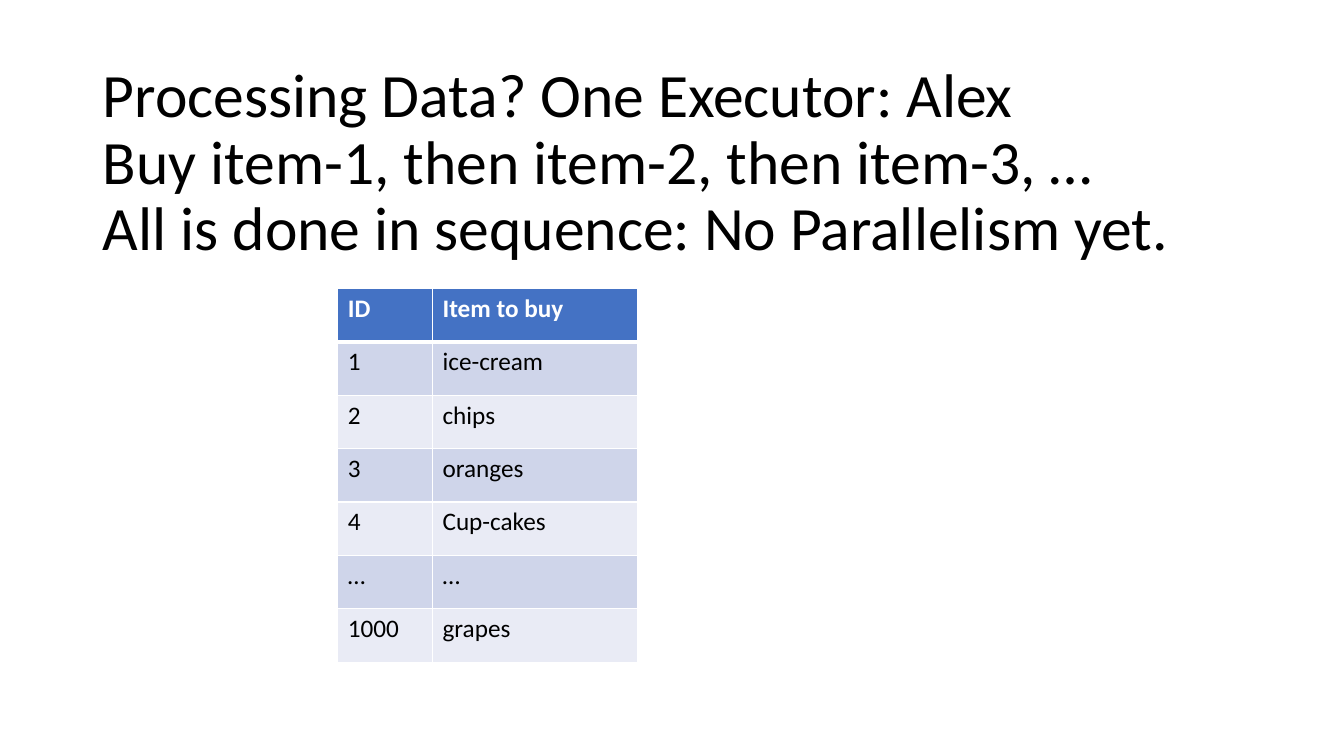
from lxml import etree
from pptx import Presentation
from pptx.dml.color import RGBColor
from pptx.enum.text import MSO_ANCHOR, MSO_AUTO_SIZE, PP_ALIGN
from pptx.oxml.ns import qn
from pptx.util import Inches, Pt

MIDDLE = MSO_ANCHOR.MIDDLE
NO_AUTOFIT = MSO_AUTO_SIZE.NONE
LEFT = PP_ALIGN.LEFT
TITLE_ONLY = 5

COLORS = {
    "text": "000000",
    "header_text": "FFFFFF",
    "header": "4472C4",
    "odd_row": "CFD5EA",
    "even_row": "E9EBF5",
    "border": "FFFFFF",
}

TITLE_LINES = [
    "Processing Data? One Executor: Alex",
    "Buy item-1, then item-2, then item-3, …",
    "All is done in sequence: No Parallelism yet.",
]
SHOPPING_LIST = [
    ("ID", "Item to buy"),
    ("1", "ice-cream"),
    ("2", "chips"),
    ("3", "oranges"),
    ("4", "Cup-cakes"),
    ("…", "…"),
    ("1000", "grapes"),
]


class SlideBuilder:
    """Holds the font, the colours and the slide being filled."""

    def __init__(self, slide, font, colors):
        self.slide = slide
        self.font = font
        self.colors = colors

    def add_run(self, paragraph, text, size, color, bold=False):
        run = paragraph.add_run()
        run.text = text
        run.font.name = self.font
        run.font.size = Pt(size)
        run.font.bold = bold
        run.font.color.rgb = RGBColor.from_string(self.colors[color])

    def add_title(self, lines, left, top, width, height):
        title = self.slide.shapes.title
        title.left, title.top = Inches(left), Inches(top)
        title.width, title.height = Inches(width), Inches(height)
        frame = title.text_frame
        frame.word_wrap = True
        frame.auto_size = NO_AUTOFIT
        frame.vertical_anchor = MIDDLE
        paragraph = frame.paragraphs[0]
        paragraph.alignment = LEFT
        paragraph.line_spacing = 0.9
        for index, line in enumerate(lines):
            if index:
                paragraph.add_line_break()
            self.add_run(paragraph, line, 44, "text")

    def set_borders(self, cell, widths):
        """Draw the cell's borders; widths maps L, R, T, B (in that order) to points."""
        properties = cell._tc.get_or_add_tcPr()
        for position, (side, width) in enumerate(widths.items()):
            border = etree.Element(qn(f"a:ln{side}"), w=str(Pt(width)))
            fill = etree.SubElement(border, qn("a:solidFill"))
            etree.SubElement(fill, qn("a:srgbClr"), val=self.colors["border"])
            properties.insert(position, border)

    def add_table(self, rows, left, top, column_widths, row_height):
        table = self.slide.shapes.add_table(
            len(rows), len(column_widths), Inches(left), Inches(top),
            Inches(sum(column_widths)), Inches(row_height * len(rows)),
        ).table
        for column, width in zip(table.columns, column_widths):
            column.width = Inches(width)
        for row_index, row in enumerate(rows):
            table.rows[row_index].height = Inches(row_height)
            is_header = row_index == 0
            band = "header" if is_header else "odd_row" if row_index % 2 else "even_row"
            widths = {"L": 1, "R": 1, "T": 3 if row_index == 1 else 1, "B": 3 if is_header else 1}
            for column_index, text in enumerate(row):
                cell = table.cell(row_index, column_index)
                cell.fill.solid()
                cell.fill.fore_color.rgb = RGBColor.from_string(self.colors[band])
                self.set_borders(cell, widths)
                self.add_run(cell.text_frame.paragraphs[0], text, 18,
                             "header_text" if is_header else "text", bold=is_header)


def main():
    presentation = Presentation()
    presentation.slide_width = Inches(13.33)
    presentation.slide_height = Inches(7.5)
    slide = presentation.slides.add_slide(presentation.slide_layouts[TITLE_ONLY])
    builder = SlideBuilder(slide, "Calibri", COLORS)
    builder.add_title(TITLE_LINES, 0.92, 0.4, 11.5, 2.46)
    builder.add_table(SHOPPING_LIST, 3.35, 2.86, [0.94, 2.03], 0.53)
    presentation.save("out.pptx")


if __name__ == "__main__":
    main()
